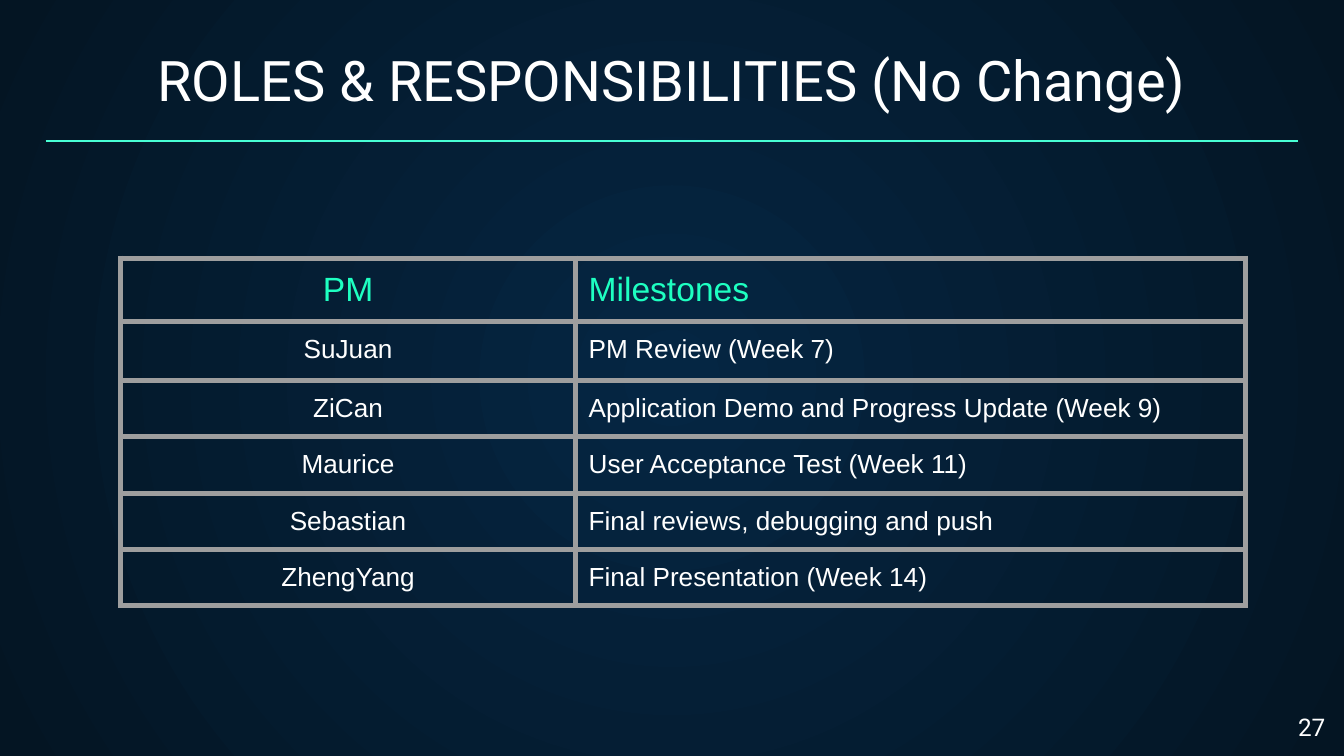
from dataclasses import dataclass

from lxml import etree
from pptx import Presentation
from pptx.dml.color import RGBColor
from pptx.enum.shapes import MSO_CONNECTOR
from pptx.enum.text import MSO_ANCHOR, PP_ALIGN
from pptx.oxml.ns import qn
from pptx.util import Inches, Pt

LEFT, CENTER, RIGHT = PP_ALIGN.LEFT, PP_ALIGN.CENTER, PP_ALIGN.RIGHT
TOP, MIDDLE, BOTTOM = MSO_ANCHOR.TOP, MSO_ANCHOR.MIDDLE, MSO_ANCHOR.BOTTOM
STRAIGHT = MSO_CONNECTOR.STRAIGHT


@dataclass(frozen=True)
class Theme:
    center: str = "052643"
    edge: str = "041523"
    text: str = "FFFFFF"
    heading: str = "1EFFC1"
    rule: str = "48FFD5"
    border: str = "9E9E9E"
    title_font: str = "Roboto"
    table_font: str = "Arial"
    title_size: float = 30
    heading_size: float = 18
    body_size: float = 14
    number_size: float = 13
    rule_width: float = 0.75
    border_width: float = 3
    margin: float = 0.1
    cell_bottom_margin: float = 0.07


THEME = Theme()


@dataclass(frozen=True)
class Label:
    text: str
    left: float
    top: float
    width: float
    height: float
    size: float
    align: PP_ALIGN
    anchor: MSO_ANCHOR


@dataclass(frozen=True)
class Role:
    manager: str
    milestone: str


LABELS = [
    Label("ROLES & RESPONSIBILITIES (No Change)", 0.34, 0.28, 9.32, 0.66,
          THEME.title_size, CENTER, BOTTOM),
    Label("27", 9.36, 5.19, 0.6, 0.43, THEME.number_size, RIGHT, MIDDLE),
]
ROLES = [
    Role("PM", "Milestones"),
    Role("SuJuan", "PM Review (Week 7)"),
    Role("ZiCan", "Application Demo and Progress Update (Week 9)"),
    Role("Maurice", "User Acceptance Test (Week 11)"),
    Role("Sebastian", "Final reviews, debugging and push"),
    Role("ZhengYang", "Final Presentation (Week 14)"),
]
COLUMN_WIDTHS = [3.38, 4.99]
ROW_HEIGHTS = [0.47, 0.44] + [0.42] * 4


def set_background(slide) -> None:
    """Radial gradient that darkens away from the middle of the slide."""
    fill = slide.background.fill
    fill.gradient()
    for stop, color in zip(fill.gradient_stops, (THEME.center, THEME.edge)):
        stop.color.rgb = RGBColor.from_string(color)
    gradient = slide.element.find(".//" + qn("a:gradFill"))
    gradient.remove(gradient.find(qn("a:lin")))
    radial = etree.SubElement(gradient, qn("a:path"), path="circle")
    etree.SubElement(radial, qn("a:fillToRect"),
                     l="50000", t="50000", r="50000", b="50000")


def style_paragraph(paragraph, font: str, size: float, color: str, align: PP_ALIGN) -> None:
    paragraph.alignment = align
    paragraph.font.name = font
    paragraph.font.size = Pt(size)
    paragraph.font.color.rgb = RGBColor.from_string(color)


def set_margins(target, bottom: float = THEME.margin) -> None:
    target.margin_left = target.margin_right = Inches(THEME.margin)
    target.margin_top = Inches(THEME.margin)
    target.margin_bottom = Inches(bottom)


def add_label(slide, label: Label) -> None:
    box = slide.shapes.add_textbox(Inches(label.left), Inches(label.top),
                                   Inches(label.width), Inches(label.height))
    frame = box.text_frame
    frame.word_wrap = True
    frame.vertical_anchor = label.anchor
    set_margins(frame)
    frame.text = label.text
    style_paragraph(frame.paragraphs[0], THEME.title_font, label.size,
                    THEME.text, label.align)


def add_rule(slide, left: float, right: float, top: float) -> None:
    rule = slide.shapes.add_connector(STRAIGHT, Inches(left), Inches(top),
                                      Inches(right), Inches(top))
    rule.line.color.rgb = RGBColor.from_string(THEME.rule)
    rule.line.width = Pt(THEME.rule_width)
    etree.SubElement(rule.element.spPr, qn("a:effectLst"))


def set_borders(cell) -> None:
    properties = cell._tc.get_or_add_tcPr()
    for index, side in enumerate(("lnL", "lnR", "lnT", "lnB")):
        border = etree.Element(qn(f"a:{side}"), w=str(Pt(THEME.border_width)))
        fill = etree.SubElement(border, qn("a:solidFill"))
        etree.SubElement(fill, qn("a:srgbClr"), val=THEME.border)
        properties.insert(index, border)


def add_roles_table(slide, left: float, top: float) -> None:
    table = slide.shapes.add_table(
        len(ROLES), len(COLUMN_WIDTHS), Inches(left), Inches(top),
        Inches(sum(COLUMN_WIDTHS)), Inches(sum(ROW_HEIGHTS))).table
    table.first_row = table.horz_banding = False
    for column, width in zip(table.columns, COLUMN_WIDTHS):
        column.width = Inches(width)
    for row_index, (role, height) in enumerate(zip(ROLES, ROW_HEIGHTS)):
        table.rows[row_index].height = Inches(height)
        size, color = ((THEME.body_size, THEME.text) if row_index
                       else (THEME.heading_size, THEME.heading))
        columns = ((role.manager, CENTER), (role.milestone, LEFT))
        for column_index, (text, align) in enumerate(columns):
            cell = table.cell(row_index, column_index)
            cell.fill.background()
            cell.vertical_anchor = TOP
            set_margins(cell, THEME.cell_bottom_margin)
            set_borders(cell)
            cell.text = text
            style_paragraph(cell.text_frame.paragraphs[0], THEME.table_font,
                            size, color, align)


def main() -> None:
    presentation = Presentation()
    presentation.slide_width = Inches(10)
    presentation.slide_height = Inches(10 * 9 / 16)
    slide = presentation.slides.add_slide(presentation.slide_layouts[6])

    # Background and title rule
    set_background(slide)
    add_rule(slide, 0.34, 9.66, 1.05)

    # Title and page number
    for label in LABELS:
        add_label(slide, label)

    # Managers and their milestones
    add_roles_table(slide, 0.9, 1.92)

    presentation.save("out.pptx")


if __name__ == "__main__":
    main()
